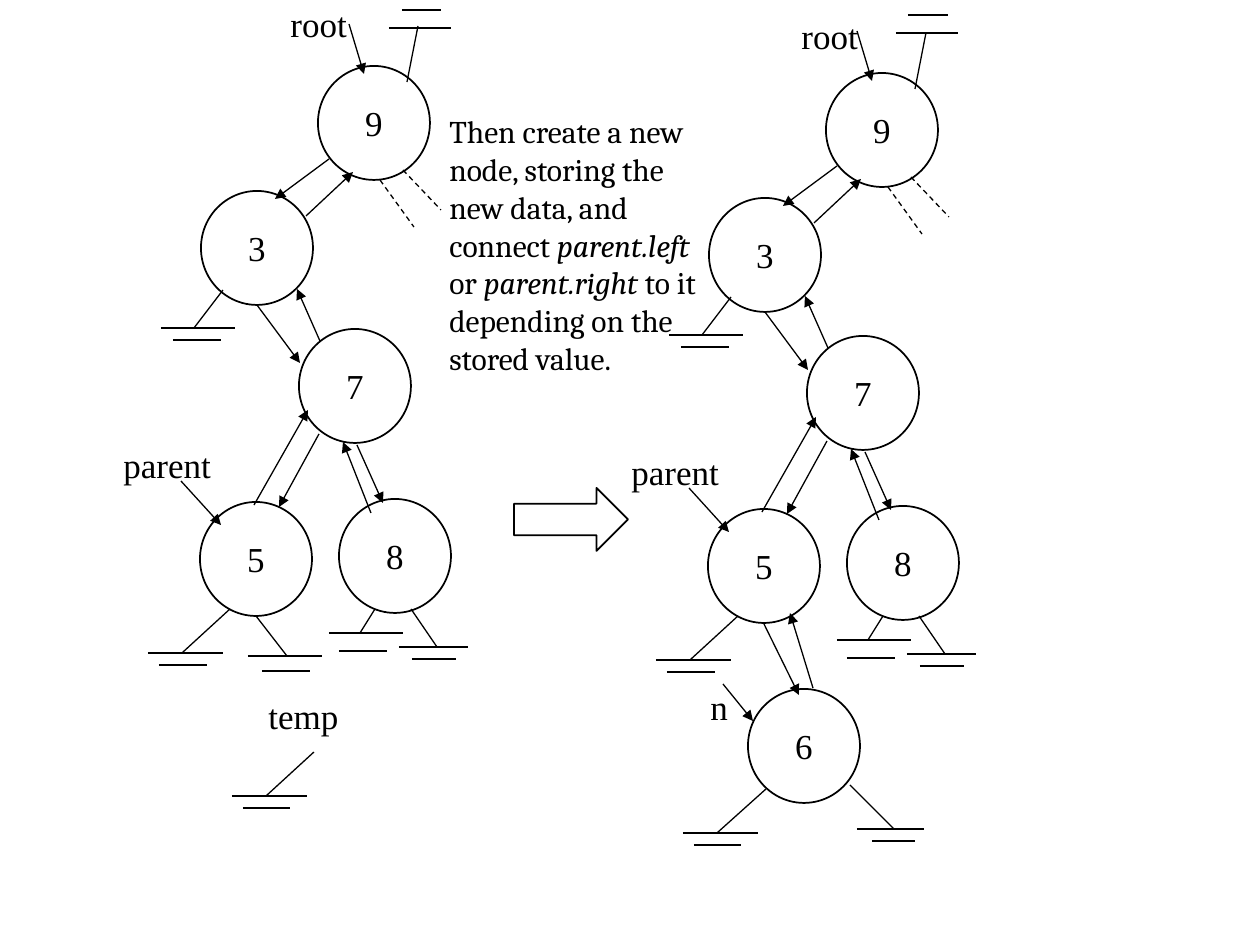
from lxml import etree
from pptx import Presentation
from pptx.dml.color import RGBColor
from pptx.enum.dml import MSO_LINE
from pptx.enum.shapes import MSO_CONNECTOR, MSO_SHAPE
from pptx.enum.text import MSO_ANCHOR, PP_ALIGN
from pptx.oxml.ns import qn
from pptx.util import Inches, Pt

ELLIPSE, RIGHT_ARROW = MSO_SHAPE.OVAL, MSO_SHAPE.RIGHT_ARROW
STRAIGHT, DASH = MSO_CONNECTOR.STRAIGHT, MSO_LINE.DASH
CENTER, MIDDLE, TOP = PP_ALIGN.CENTER, MSO_ANCHOR.MIDDLE, MSO_ANCHOR.TOP
BLACK = RGBColor(0, 0, 0)
PIXEL = Inches(1) / 126
NODE_SIZE = (112, 114)


class Diagram:
    """Draws tree parts on one slide, relative to a movable origin."""

    font, text_size = "Times New Roman", 20
    outline_width, link_width = Pt(1), Pt(0.75)

    def __init__(self, slide):
        self.slide = slide
        self.origin = (0, 0)

    def place(self, x, y):
        """Turn a pixel point into EMU."""
        return [round((a + b) * PIXEL) for a, b in zip((x, y), self.origin)]

    def style(self, run, font=font, size=text_size, italic=False):
        """Set the look of one run."""
        run.font.name, run.font.size = font, Pt(size)
        run.font.italic = italic
        run.font.color.rgb = BLACK

    def outline(self, kind, x, y, width, height):
        """Add an unfilled preset shape."""
        shape = self.slide.shapes.add_shape(
            kind, *self.place(x, y), round(width * PIXEL), round(height * PIXEL))
        shape.shadow.inherit = False
        shape.fill.background()
        shape.line.color.rgb = BLACK
        shape.line.width = self.outline_width
        return shape

    def node(self, value, x, y):
        """Add a circular tree node."""
        frame = self.outline(ELLIPSE, x, y, *NODE_SIZE).text_frame
        frame.text = value
        frame.vertical_anchor = MIDDLE
        frame.paragraphs[0].alignment = CENTER
        self.style(frame.paragraphs[0].runs[0])

    def text(self, pieces, x, y, width, height, **look):
        """Add a text box; every second piece is italic."""
        box = self.slide.shapes.add_textbox(
            *self.place(x, y), round(width * PIXEL), round(height * PIXEL))
        frame = box.text_frame
        frame.word_wrap = True
        frame.vertical_anchor = TOP
        for index, piece in enumerate(pieces):
            run = frame.paragraphs[0].add_run()
            run.text = piece
            self.style(run, italic=index % 2 == 1, **look)

    def line(self, x1, y1, x2, y2, arrow=False, dash=None):
        """Add a straight line, with an arrowhead at its end if asked."""
        connector = self.slide.shapes.add_connector(
            STRAIGHT, *self.place(x1, y1), *self.place(x2, y2))
        connector.line.color.rgb = BLACK
        connector.line.width = self.link_width
        if dash:
            connector.line.dash_style = dash
        if arrow:
            etree.SubElement(connector.line._get_or_add_ln(), qn("a:tailEnd"), type="triangle")
        etree.SubElement(connector._element.spPr, qn("a:effectLst"))

    def bars(self, y, long_bar, gap, short_bar):
        """Add the two bars of a null symbol."""
        self.line(long_bar[0], y, long_bar[1], y)
        self.line(short_bar[0], y + gap, short_bar[1], y + gap)

    def null(self, stem, long_bar, short_bar, gap=12):
        """Add a null pointer: a stem and two bars at its end."""
        self.line(*stem)
        self.bars(stem[3], long_bar, gap, short_bar)

    def tree(self, origin):
        """Draw the part that both trees share."""
        self.origin = origin
        for node in NODES:
            self.node(*node)
        for link in LINKS:
            self.line(*link, arrow=True)
        for null in NULLS:
            self.null(*null)
        for omitted in OMITTED_SUBTREE:
            self.line(*omitted, dash=DASH)
        self.line(407, 82, 418, 26)
        self.text(["parent"], 111, 437, 154, 86)
        self.origin = (0, 0)


NODES = [("9", 318, 66), ("3", 201, 191), ("7", 299, 329), ("8", 339, 499), ("5", 200, 502)]
LINKS = [
    (329, 159, 275, 199), (306, 216, 353, 172),
    (257, 305, 300, 363), (320, 341, 297, 289),
    (319, 434, 279, 507), (254, 505, 308, 410),
    (357, 445, 383, 503), (371, 513, 343, 442),
    (349, 24, 364, 74), (181, 481, 221, 525),
]
NULLS = [
    ((223, 290, 194, 328), (161, 235), (173, 221)),
    ((230, 609, 182, 653), (148, 223), (159, 207)),
    ((375, 609, 360, 633), (329, 403), (339, 387), 18),
    ((411, 609, 437, 647), (399, 468), (412, 456)),
]
OMITTED_SUBTREE = [(380, 180, 414, 227), (403, 170, 441, 210)]
NOTE = ["Then create a new node, storing the new data, and connect ", "parent.left",
        " or ", "parent.right", " to it depending on the stored value."]

presentation = Presentation()
presentation.slide_width, presentation.slide_height = Inches(10), Inches(7.5)
diagram = Diagram(presentation.slides.add_slide(presentation.slide_layouts[6]))

# Tree before the insertion
diagram.tree((0, 0))
diagram.bars(28, (389, 451), -18, (402, 441))
diagram.text(["root"], 278, -4, 122, 63)
diagram.null((256, 616, 287, 656), (248, 322), (262, 310), 15)
diagram.text(["temp"], 256, 688, 144, 89)
diagram.null((314, 752, 266, 796), (232, 307), (243, 290))

# Explanation and step arrow
diagram.text(NOTE, 437, 106, 275, 334, font="Cambria", size=18)
diagram.outline(RIGHT_ARROW, 514, 488, 114, 63)

# Tree after the insertion
diagram.tree((508, 7))
diagram.bars(33, (896, 958), -18, (908, 948))
diagram.text(["root"], 789, 8, 122, 63)
diagram.node("6", 748, 689)
for new_link in [(764, 624, 799, 695), (813, 688, 790, 613), (723, 684, 753, 721)]:
    diagram.line(*new_link, arrow=True)
diagram.text(["n"], 698, 679, 154, 86)
diagram.null((766, 789, 717, 833), (683, 758), (694, 741))
diagram.null((850, 785, 894, 829), (857, 924), (872, 915))

presentation.save("out.pptx")
